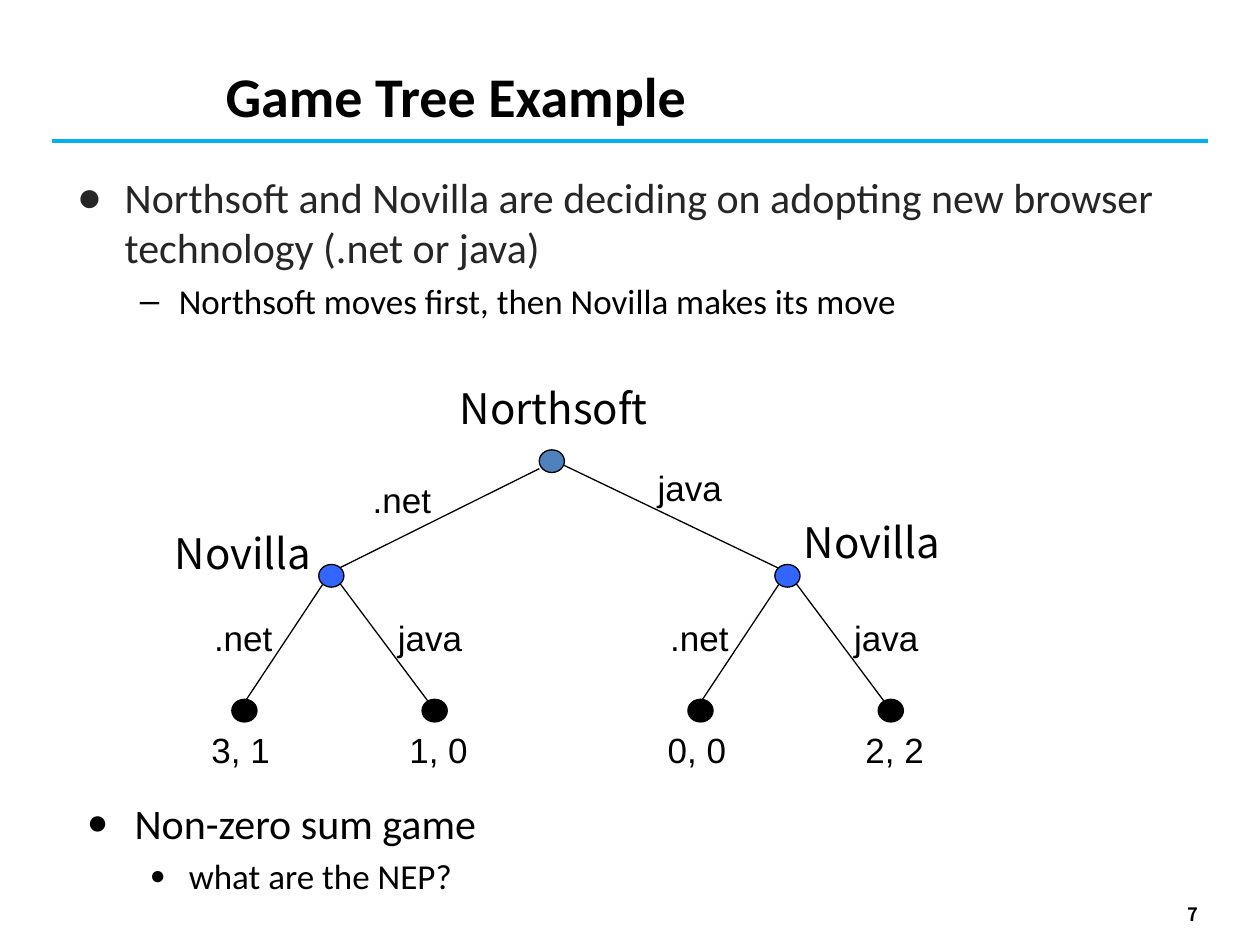
from dataclasses import dataclass

from lxml.etree import SubElement
from pptx import Presentation
from pptx.dml.color import RGBColor
from pptx.enum.shapes import MSO_CONNECTOR, MSO_SHAPE
from pptx.enum.text import MSO_ANCHOR, MSO_AUTO_SIZE, PP_ALIGN
from pptx.oxml.ns import qn
from pptx.util import Inches, Pt


@dataclass(frozen=True)
class Theme:
    black: str = "000000"
    body: str = "262626"
    rule: str = "00B0F0"
    root: str = "4F81BD"
    branch: str = "3366FF"
    text_font: str = "Calibri"
    label_font: str = "Arial"
    player_font: str = "Noto Sans CJK KR"
    title_size: float = 32
    large_size: float = 24
    small_size: float = 20
    number_size: float = 10.5
    thin: float = 0.75
    thick: float = 2.25


THEME = Theme()
FIRST_PLAYER = "Northsoft"
SECOND_PLAYER = "Novilla"
NODE_WIDTH, NODE_HEIGHT = 0.2, 0.18


def add_run(paragraph, text, size, font, color=THEME.black, bold=False):
    run = paragraph.add_run()
    run.text = text
    run.font.size = Pt(size)
    run.font.name = font
    run.font.bold = bold
    run.font.color.rgb = RGBColor.from_string(color)


def place(shape, left, top, width, height):
    shape.left, shape.top = Inches(left), Inches(top)
    shape.width, shape.height = Inches(width), Inches(height)


def add_text(slide, text, box, size, font, bold=False):
    shape = slide.shapes.add_textbox(*map(Inches, box))
    shape.text_frame.word_wrap = False
    add_run(shape.text_frame.paragraphs[0], text, size, font, bold=bold)
    return shape


def add_line(slide, start, end, color=THEME.black, width=THEME.thin):
    points = map(Inches, (*start, *end))
    line = slide.shapes.add_connector(MSO_CONNECTOR.STRAIGHT, *points)
    line.line.color.rgb = RGBColor.from_string(color)
    line.line.width = Pt(width)
    SubElement(line._element.spPr, qn("a:effectLst"))


def add_node(slide, left, top, color):
    box = map(Inches, (left, top, NODE_WIDTH, NODE_HEIGHT))
    node = slide.shapes.add_shape(MSO_SHAPE.OVAL, *box)
    node.shadow.inherit = False
    node.fill.solid()
    node.fill.fore_color.rgb = RGBColor.from_string(color)
    node.line.color.rgb = RGBColor.from_string(THEME.black)
    node.line.width = Pt(THEME.thin)


def add_player(slide, text, left, top, width):
    add_text(slide, text, (left, top, width, 0.5),
             THEME.large_size, THEME.player_font)


def add_label(slide, text, left, top):
    add_text(slide, text, (left, top, 0.75, 0.43),
             THEME.small_size, THEME.label_font)


def fill_list(text_frame, items):
    text_frame.word_wrap = True
    text_frame.auto_size = MSO_AUTO_SIZE.NONE
    for index, (text, level, bullet, percent, color) in enumerate(items):
        paragraph = text_frame.paragraphs[0] if index == 0 else text_frame.add_paragraph()
        size = THEME.small_size if level else THEME.large_size
        margin, indent = (0.81, -0.31) if level else (0.38, -0.38)
        paragraph.level = level
        paragraph.space_before = Pt(size * 0.2)
        properties = paragraph._p.get_or_add_pPr()
        properties.set("marL", str(Inches(margin)))
        properties.set("indent", str(Inches(indent)))
        SubElement(properties, qn("a:buSzPct")).set("val", str(percent * 1000))
        SubElement(properties, qn("a:buFont")).set("typeface", THEME.label_font)
        SubElement(properties, qn("a:buChar")).set("char", bullet)
        add_run(paragraph, text, size, THEME.text_font, color)


def build_header(slide, left, top, width, height):
    title = slide.shapes.title
    place(title, left, top, width, height)
    title.text_frame.vertical_anchor = MSO_ANCHOR.TOP
    title.text_frame.auto_size = MSO_AUTO_SIZE.NONE
    paragraph = title.text_frame.paragraphs[0]
    paragraph.alignment = PP_ALIGN.LEFT
    add_run(paragraph, "Game Tree Example", THEME.title_size, THEME.text_font, bold=True)
    rule_top = top + 0.68
    add_line(slide, (0.41, rule_top), (9.59, rule_top), THEME.rule, THEME.thick)


def build_body(slide, left, top, width, height):
    body = slide.placeholders[1]
    place(body, left, top, width, height)
    fill_list(body.text_frame, [
        (f"{FIRST_PLAYER} and {SECOND_PLAYER} are deciding on adopting new browser "
         "technology (.net or java)", 0, "●", 100, THEME.body),
        (f"{FIRST_PLAYER} moves first, then {SECOND_PLAYER} makes its move",
         1, "–", 100, THEME.black),
    ])


def build_subtree(slide, left, top, payoffs):
    add_line(slide, (left + 0.11, top + 1.08), (left + 0.72, top + 0.16))
    add_line(slide, (left + 0.85, top + 0.14), (left + 1.56, top + 1.09))
    add_node(slide, left + 0.69, top, THEME.branch)
    for move, move_left, leaf_left, payoff, payoff_left in zip(
            (".net", "java"), (-0.24, 1.22), (0, 1.51), payoffs, (-0.26, 1.31)):
        add_node(slide, left + leaf_left, top + 1.07, THEME.black)
        add_label(slide, move, left + move_left, top + 0.36)
        add_label(slide, payoff, left + payoff_left, top + 1.25)


def build_game_tree(slide, left, top):
    add_line(slide, (left + 0.85, top + 1.52), (left + 2.44, top + 0.73))
    add_line(slide, (left + 2.63, top + 0.7), (left + 4.34, top + 1.52))
    add_node(slide, left + 2.44, top + 0.58, THEME.root)
    for offset, payoffs in ((0, ("3, 1", "1, 0")), (3.62, ("0, 0", "2, 2"))):
        build_subtree(slide, left + offset, top + 1.49, payoffs)
    add_player(slide, FIRST_PLAYER, left + 1.71, top, 1.76)
    add_player(slide, SECOND_PLAYER, left - 0.55, top + 1.15, 1.3)
    add_player(slide, SECOND_PLAYER, left + 4.44, top + 1.06, 1.3)
    add_label(slide, ".net", left + 1.02, top + 0.76)
    add_label(slide, "java", left + 3.28, top + 0.66)


def build_question(slide, left, top, width, height):
    question = slide.shapes.add_textbox(*map(Inches, (left, top, width, height)))
    fill_list(question.text_frame, [
        ("Non-zero sum game", 0, "●", 85, THEME.black),
        ("what are the NEP?", 1, "●", 75, THEME.black),
    ])


def build_page_number(slide, *box):
    number = add_text(slide, "7", box, THEME.number_size, THEME.player_font, bold=True)
    number.text_frame.word_wrap = True
    number.text_frame.vertical_anchor = MSO_ANCHOR.MIDDLE


presentation = Presentation()
presentation.slide_width, presentation.slide_height = Inches(10), Inches(7.5)
slide = presentation.slides.add_slide(presentation.slide_layouts[1])
build_header(slide, 1.69, 0.44, 7.8, 0.59)
build_body(slide, 0.51, 1.31, 8.95, 5.72)
build_game_tree(slide, 1.84, 2.99)
build_question(slide, 0.59, 6.28, 8.35, 0.62)
build_page_number(slide, 9.33, 7.14, 0.79, 0.23)
presentation.save("out.pptx")
